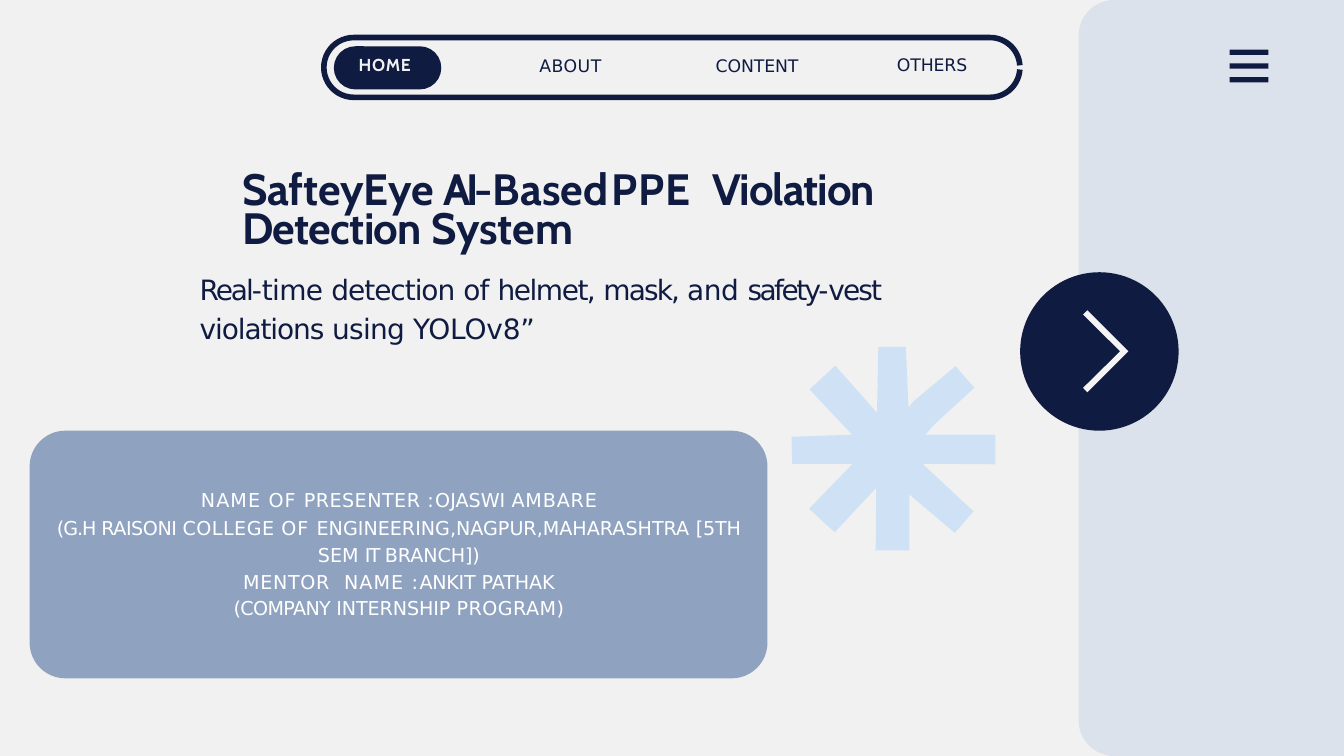
from math import cos, radians, sin

from lxml.etree import SubElement
from pptx import Presentation
from pptx.dml.color import RGBColor
from pptx.enum.shapes import MSO_SHAPE as SHAPE
from pptx.enum.text import MSO_ANCHOR, MSO_AUTO_SIZE, PP_ALIGN as ALIGN
from pptx.oxml.ns import qn
from pptx.util import Cm, Pt

COLORS = {
    "page": "F1F1F1", "navy": "0F1B40", "panel": "DBE2EB",
    "card": "8FA3C1", "star": "CFE2F5", "white": "FFFFFF", "arrow": "F4F4F4",
}
HEADING, BODY = "Cabin", "DejaVu Sans"
WIDTH, HEIGHT = 50.8, 50.8 * 9 / 16


def arc(cx, cy, radius, start, end, steps=24):
    angles = [radians(start + (end - start) * i / steps) for i in range(steps + 1)]
    return [(cx + radius * cos(a), cy + radius * sin(a)) for a in angles]


class Deck:
    def __init__(self):
        self.prs = Presentation()
        self.prs.slide_width, self.prs.slide_height = Cm(WIDTH), Cm(HEIGHT)
        self.s = self.prs.slides.add_slide(self.prs.slide_layouts[0])
        self.paint(self.s.background.fill, "page")

    def paint(self, fill, color):
        fill.solid()
        fill.fore_color.rgb = RGBColor.from_string(COLORS[color])

    def finish(self, sp, color):
        sp.shadow.inherit = False
        self.paint(sp.fill, color)
        sp.line.fill.background()

    def shape(self, kind, x, y, w, h, color, radius=None):
        sp = self.s.shapes.add_shape(kind, Cm(x), Cm(y), Cm(w), Cm(h))
        if radius:
            sp.adjustments[0] = radius / min(w, h)
        self.finish(sp, color)

    def outline(self, points, color, line=None):
        pts = [(Cm(x), Cm(y)) for x, y in points]
        fb = self.s.shapes.build_freeform(*pts[0])
        fb.add_line_segments(pts[1:], close=line is None)
        sp = fb.convert_to_shape()
        self.finish(sp, color)
        if line:
            sp.fill.background()
            self.paint(sp.line.fill, color)
            sp.line.width = Pt(line)

    def frame(self, x, y, w, h, top=0, sp=None, wrap=True):
        sp = sp or self.s.shapes.add_textbox(0, 0, 0, 0)
        sp.left, sp.top, sp.width, sp.height = Cm(x), Cm(y), Cm(w), Cm(h)
        tf = sp.text_frame
        tf.word_wrap = wrap
        tf.auto_size = MSO_AUTO_SIZE.NONE
        tf.vertical_anchor = MSO_ANCHOR.TOP
        tf.margin_left = tf.margin_right = tf.margin_bottom = 0
        tf.margin_top = Cm(top)
        return tf

    def paragraph(self, tf, runs, size, font, color, bold=False, align=ALIGN.LEFT,
                  spacing=None, before=0, left=0, right=0, tabs=()):
        p = tf.paragraphs[0]
        if p.runs:
            p = tf.add_paragraph()
        p.alignment, p.space_before = align, Pt(before)
        if spacing:
            p.line_spacing = spacing
        pPr = p._p.get_or_add_pPr()
        pPr.set("marL", str(Cm(left)))
        pPr.set("marR", str(Cm(right)))
        pPr.set("indent", "0")
        if tabs:
            tab_list = SubElement(pPr, qn("a:tabLst"))
            for pos in tabs:
                SubElement(tab_list, qn("a:tab"), pos=str(Cm(pos)), algn="l")
        for text, tracking in runs:
            r = p.add_run()
            r.text = text
            r.font.size, r.font.name, r.font.bold = Pt(size), font, bold
            r.font.color.rgb = RGBColor.from_string(COLORS[color])
            r._r.get_or_add_rPr().set("spc", str(round(tracking * 100)))


def add_navigation(deck):
    cy, r = 2.55, 1.13
    deck.outline(arc(37.42, cy, r, 4, 90) + arc(13.37, cy, r, 90, 270)
                 + arc(37.42, cy, r, 270, 356), "navy", line=6)
    deck.shape(SHAPE.ROUNDED_RECTANGLE, 12.62, 1.75, 4.06, 1.63, "navy", 0.81)
    for label, x, y, w, tracking in [
        ("HOME", 13.56, 2.03, 2.21, 0.8), ("ABOUT", 20.39, 2.06, 2.46, 0.5),
        ("CONTENT", 27.05, 2.06, 3.35, -0.1), ("OTHERS", 33.9, 2.03, 2.84, -0.1),
    ]:
        active = label == "HOME"
        tf = deck.frame(x, y, w, 0.86, 0.03, wrap=False)
        deck.paragraph(tf, [(label, tracking)], 18.5, HEADING if active else BODY,
                       "page" if active else "navy", bold=active)


def add_side_panel(deck):
    x, r = 40.77, 1.35
    deck.outline([(WIDTH, 0), (WIDTH, HEIGHT)] + arc(x + r, HEIGHT - r, r, 90, 180)
                 + arc(x + r, r, r, 180, 270), "panel")
    for i in range(3):
        deck.shape(SHAPE.RECTANGLE, 46.48, 1.88 + 0.52 * i, 1.46, 0.2, "navy")
    deck.shape(SHAPE.OVAL, 38.56, 10.29, 5.99, 5.99, "navy")
    deck.outline([(41.1, 14.83), (40.94, 14.66), (42.34, 13.28), (40.94, 11.89),
                  (41.1, 11.73), (42.65, 13.28)], "arrow")


def add_star(deck):
    deck.outline([
        (34.37, 20.8), (33.1, 20.8), (33.12, 18.44), (31.55, 20.12), (30.58, 19.23),
        (32.23, 17.53), (29.94, 17.53), (29.92, 16.51), (32.21, 16.43), (30.6, 14.72),
        (31.57, 13.82), (33.15, 15.6), (33.2, 13.11), (34.24, 13.11), (34.34, 15.39),
        (34.54, 15.16), (36.12, 13.84), (36.83, 14.66), (35.33, 16.03), (34.98, 16.43),
        (37.62, 16.43), (37.62, 17.55), (34.87, 17.53), (36.8, 19.33), (36.09, 20.14),
        (34.37, 18.69)], "star")


def add_headline(deck):
    title, subtitle = deck.s.placeholders
    tf = deck.frame(7.52, 6.02, 29.72, 3.6, 0.56, title)
    deck.paragraph(tf, [
        ("SafteyEye\t", -0.1), ("AI-", -4.8), ("Based\t", -0.1), ("PPE\t", 0.7),
        ("Violation ", -1.2), ("Detection ", -0.8), ("System", -0.1),
    ], 47, HEADING, "navy", bold=True, spacing=0.74, left=1.63,
        tabs=(10.34, 18.42, 22.66))
    tf = deck.frame(7.52, 10.08, 29.72, 2.97, sp=subtitle)
    deck.paragraph(tf, [
        ("Real-", -2.2), ("time ", -0.7), ("detection ", -1.1), ("of ", -0.8),
        ("helmet, ", -1.6), ("mask, ", -2), ("and ", -0.4), ("safety-", -2.7),
        ("vest ", -2), ("violations ", -1.2), ("using ", -0.8), ("YOLOv8”", -0.2),
    ], 30, BODY, "navy", spacing=1.17, left=0.03)


def add_presenter_card(deck):
    deck.shape(SHAPE.ROUNDED_RECTANGLE, 1.12, 16.28, 27.89, 9.36, "card", 1.35)
    tf = deck.frame(1.73, 18.29, 26.7, 5.11, 0.18)
    style = dict(size=20.5, font=BODY, color="white", align=ALIGN.CENTER)
    deck.paragraph(tf, [
        ("NAME ", 1.2), ("OF ", 1.1), ("PRESENTER ", 0.5), (": ", -5),
        ("OJASWI ", 0), ("AMBARE", 0.9),
    ], **style)
    deck.paragraph(tf, [
        ("(G.H ", -1.2), ("RAISONI ", -0.5), ("COLLEGE ", 0.5), ("OF ", 1.1),
        ("ENGINEERING,NAGPUR,MAHARASHTRA ", 0), ("[5TH ", -0.2), ("SEM ", 0),
        ("IT ", -1.8), ("BRANCH])", -0.1),
    ], spacing=Pt(28.5), before=1.6, **style)
    deck.paragraph(tf, [
        ("MENTOR\t", 0.7), ("NAME ", 1.2), (": ", -5), ("ANKIT ", -0.3),
        ("PATHAK ", -0.1), ("(COMPANY ", -0.7), ("INTERNSHIP ", -0.1), ("PROGRAM)", 0.5),
    ], spacing=Pt(28.5), left=7.04, right=7.04, tabs=(5.61,), **style)


def main():
    deck = Deck()
    add_navigation(deck)
    add_side_panel(deck)
    add_presenter_card(deck)
    add_headline(deck)
    add_star(deck)
    deck.prs.save("out.pptx")


if __name__ == "__main__":
    main()
